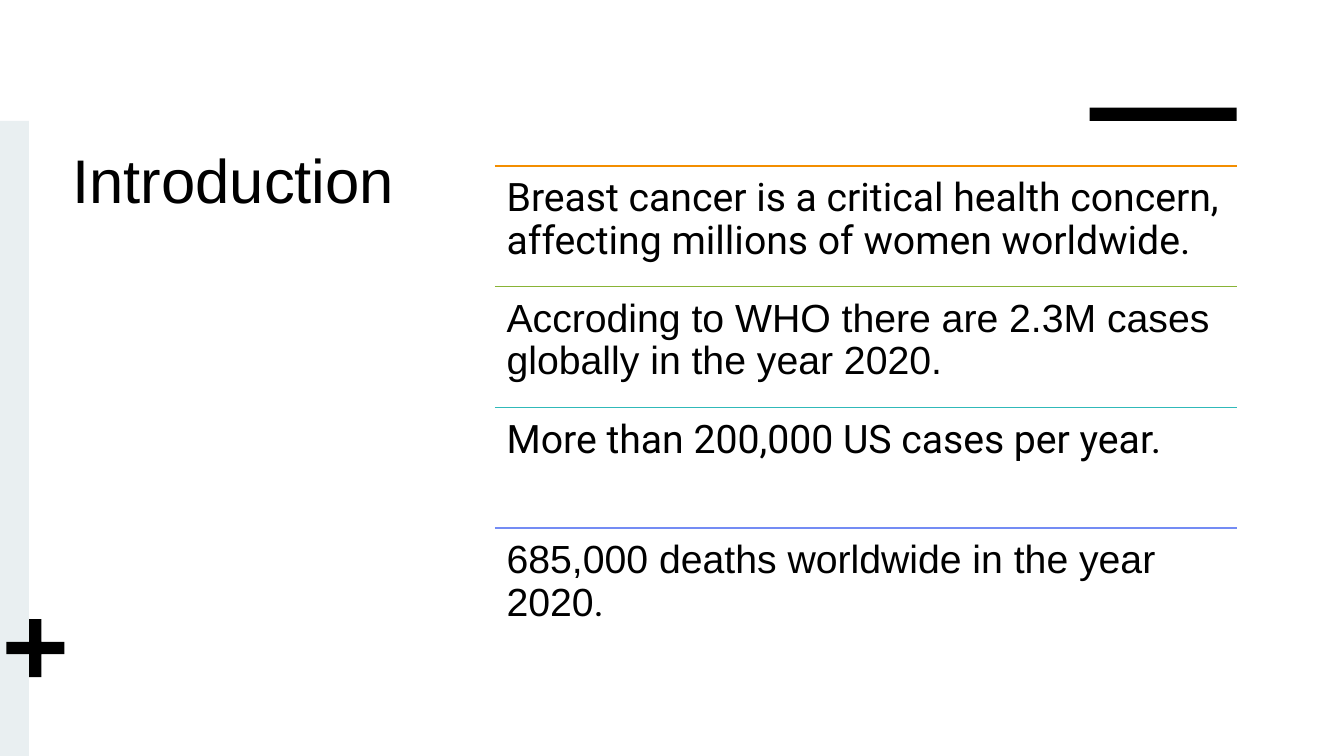
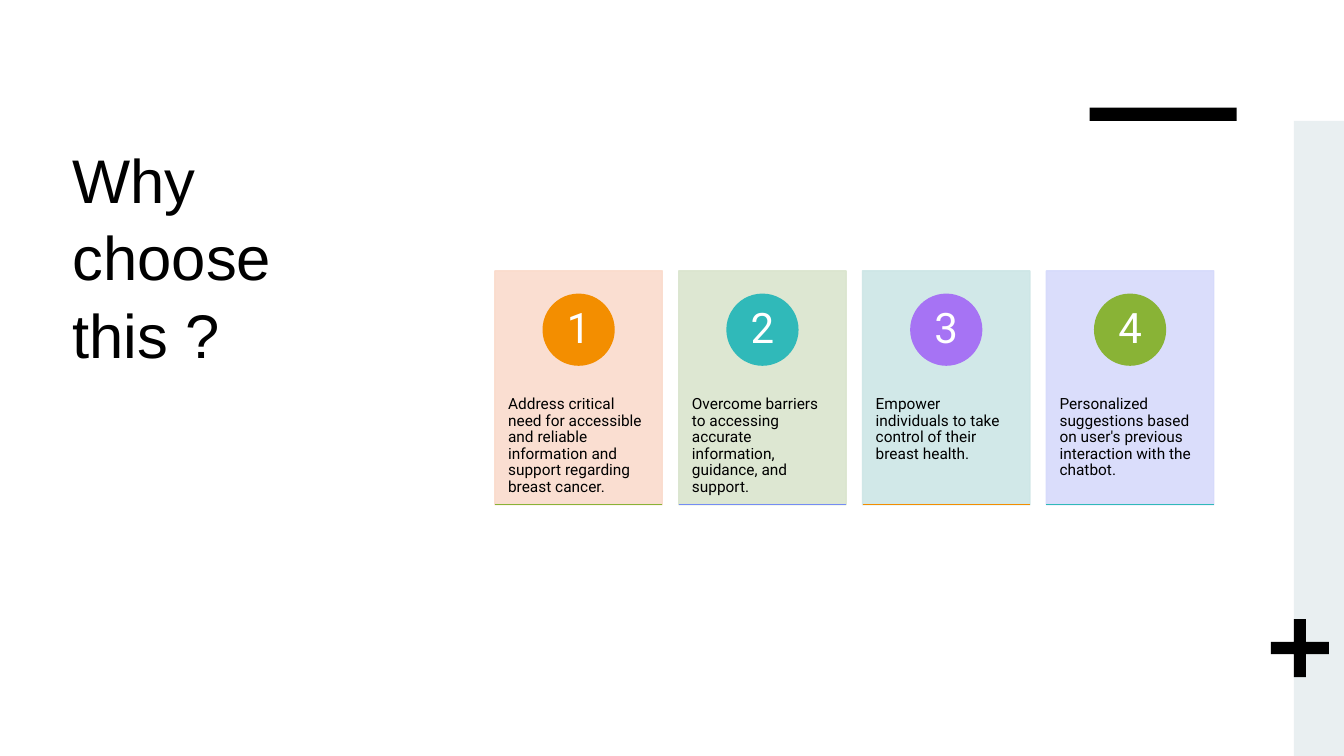
from lxml import etree
from pptx import Presentation
from pptx.dml.color import RGBColor
from pptx.enum.shapes import MSO_CONNECTOR, MSO_SHAPE
from pptx.enum.text import MSO_ANCHOR, MSO_AUTO_SIZE, PP_ALIGN
from pptx.oxml.ns import qn
from pptx.util import Pt

RECTANGLE, OVAL, CROSS = MSO_SHAPE.RECTANGLE, MSO_SHAPE.OVAL, MSO_SHAPE.CROSS
STRAIGHT = MSO_CONNECTOR.STRAIGHT
TOP, MIDDLE = MSO_ANCHOR.TOP, MSO_ANCHOR.MIDDLE
LEFT, CENTER = PP_ALIGN.LEFT, PP_ALIGN.CENTER
NO_AUTOFIT = MSO_AUTO_SIZE.NONE

BLACK, WHITE, BAND = "000000", "FFFFFF", "E9EFF1"
ORANGE, GREEN, TEAL = "F38E00", "89B336", "30B9B9"
BLUE, PURPLE = "748CF4", "A673F4"
ARIAL, ROBOTO = "Arial", "Roboto"

SLIDE_WIDTH, SLIDE_HEIGHT = 960, 540
BAND_TOP = 86.4
CONTENT_LEFT = 353.5

# Line colour, then the spans of text with their fonts
FACTS = [
    (ORANGE, [("Breast cancer is a critical health concern, affecting "
               "millions of women worldwide.", ROBOTO)]),
    (GREEN, [("Accroding to WHO there are 2.3M cases globally in the year 2020.", ARIAL)]),
    (TEAL, [("More than 200,000 US cases per year.", ROBOTO)]),
    (BLUE, [("685,000 deaths worldwide in the year 2020", ARIAL), (".", ROBOTO)]),
]
FACT_TOP, FACT_WIDTH, FACT_HEIGHT = 118.6, 530, 86.2

# Card colour, circle colour, bottom line colour, text
REASONS = [
    ("FADBCC", ORANGE, GREEN, "Address critical need for accessible and reliable "
                              "information and support regarding breast cancer."),
    ("DAE5CE", TEAL, BLUE, "Overcome barriers to accessing accurate information, "
                           "guidance, and support."),
    ("CDE6E6", PURPLE, ORANGE, "Empower individuals to take control of their breast health."),
    ("D6DAFB", GREEN, TEAL, "Personalized suggestions based on user's previous "
                            "interaction with the chatbot."),
]
CARD_TOP, CARD_WIDTH, CARD_HEIGHT, CARD_STEP = 193.5, 119.6, 167, 131.3
CIRCLE_TOP, CIRCLE_SIZE = 210.2, 50.6
REASON_TOP, REASON_HEIGHT = 257, 100


def rgb(color):
    return RGBColor.from_string(color)


def add_block(slide, kind, left, top, width, height, color, outlined=False):
    block = slide.shapes.add_shape(kind, Pt(left), Pt(top), Pt(width), Pt(height))
    block.shadow.inherit = False
    block.fill.solid()
    block.fill.fore_color.rgb = rgb(color)
    if outlined:
        block.line.color.rgb = rgb(color)
        block.line.width = Pt(1)
    else:
        block.line.fill.background()
    return block


def add_rule(slide, left, top, width, color):
    """Draw a thin horizontal line."""
    rule = slide.shapes.add_connector(STRAIGHT, Pt(left), Pt(top), Pt(left + width), Pt(top))
    rule.line.color.rgb = rgb(color)
    rule.line.width = Pt(1)
    etree.SubElement(rule._element.spPr, qn("a:effectLst"))


def set_opacity(shape, percent):
    for color in list(shape._element.spPr.iter(qn("a:srgbClr"))):
        etree.SubElement(color, qn("a:alpha")).set("val", str(percent * 1000))


def write(shape, spans, size, color=BLACK, align=LEFT, anchor=TOP, spacing=0.9, insets=(0, 0)):
    """Fill the shape with one paragraph; insets are (sides, top and bottom)."""
    frame = shape.text_frame
    frame.word_wrap = True
    frame.auto_size = NO_AUTOFIT
    frame.vertical_anchor = anchor
    frame.margin_left = frame.margin_right = Pt(insets[0])
    frame.margin_top = frame.margin_bottom = Pt(insets[1])
    frame.text = "".join(text for text, font in spans)
    para = frame.paragraphs[0]
    if len(spans) > 1:
        para.clear()
        for text, font in spans:
            para.add_run().text = text
    para.alignment = align
    para.line_spacing = spacing
    for span, (text, font) in zip(para.runs, spans):
        span.font.name = font
        span.font.size = Pt(size)
        span.font.color.rgb = rgb(color)


def add_text(slide, left, top, width, height, spans, size, insets):
    box = slide.shapes.add_textbox(Pt(left), Pt(top), Pt(width), Pt(height))
    write(box, spans, size, insets=insets)


def add_page(deck, title, title_height, band_left, band_width, plus_left):
    """Add a slide with its title, side band, top bar and plus sign."""
    slide = deck.slides.add_slide(deck.slide_layouts[5])
    heading = slide.shapes.title
    heading.left, heading.top = Pt(44.6), Pt(95)
    heading.width, heading.height = Pt(252), Pt(title_height)
    write(heading, [(title, ARIAL)], 44, spacing=1.05, insets=(7.2, 3.6))
    for span in heading.text_frame.paragraphs[0].runs:
        span.font.name = ARIAL
        span.font.size = Pt(44)
        span.font.color.rgb = rgb(BLACK)
    add_block(slide, RECTANGLE, 778.3, 77, 105.1, 9.4, BLACK)
    add_block(slide, RECTANGLE, band_left, BAND_TOP, band_width, SLIDE_HEIGHT - BAND_TOP, BAND)
    plus = add_block(slide, CROSS, plus_left, 442.2, 41.4, 41.4, BLACK)
    plus.adjustments[0] = 0.395
    return slide


def build_introduction(deck):
    slide = add_page(deck, "Introduction", 342, 0, 20.7, 4.5)
    for row, (color, spans) in enumerate(FACTS):
        top = FACT_TOP + row * FACT_HEIGHT
        add_rule(slide, CONTENT_LEFT, top, FACT_WIDTH, color)
        add_text(slide, CONTENT_LEFT, top, FACT_WIDTH, FACT_HEIGHT, spans, 28, (8.4, 8.4))


def build_reasons(deck):
    slide = add_page(deck, "Why\vchoose\vthis ?", 316.8, 924.3, 35.7, 907.8)
    for index, (card_color, circle_color, line_color, reason) in enumerate(REASONS):
        left = CONTENT_LEFT + index * CARD_STEP
        card = add_block(slide, RECTANGLE, left, CARD_TOP, CARD_WIDTH, CARD_HEIGHT,
                         card_color, outlined=True)
        set_opacity(card, 90)
        add_text(slide, left, REASON_TOP, CARD_WIDTH, REASON_HEIGHT,
                 [(reason, ROBOTO)], 11, (9.4, 26))
        circle_left = left + (CARD_WIDTH - CIRCLE_SIZE) / 2
        circle = add_block(slide, OVAL, circle_left, CIRCLE_TOP, CIRCLE_SIZE, CIRCLE_SIZE,
                           circle_color, outlined=True)
        write(circle, [(str(index + 1), ROBOTO)], 30, WHITE, CENTER, MIDDLE)
        add_rule(slide, left, CARD_TOP + CARD_HEIGHT, CARD_WIDTH, line_color)


def main():
    deck = Presentation()
    deck.slide_width, deck.slide_height = Pt(SLIDE_WIDTH), Pt(SLIDE_HEIGHT)
    build_introduction(deck)
    build_reasons(deck)
    deck.save("out.pptx")


if __name__ == "__main__":
    main()
